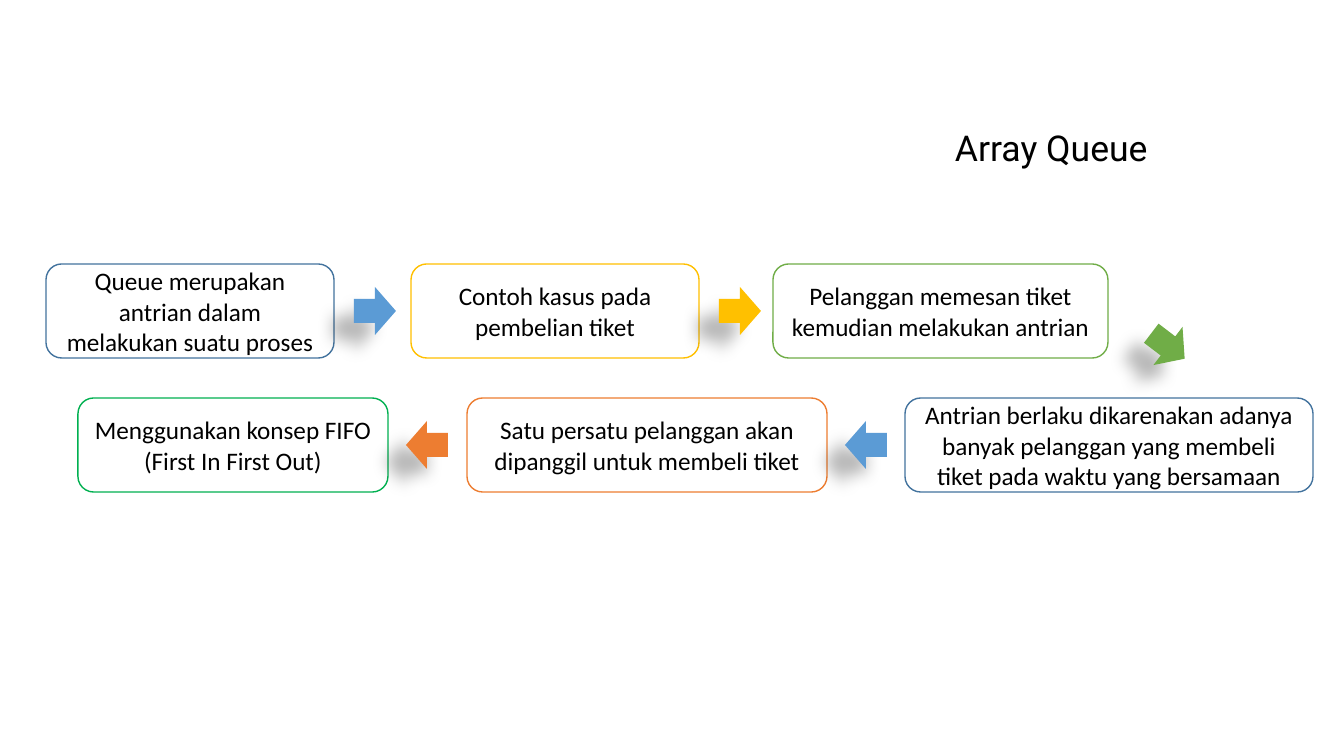
from lxml import etree
from pptx import Presentation
from pptx.dml.color import RGBColor
from pptx.enum.shapes import MSO_SHAPE as SHAPE
from pptx.enum.text import MSO_ANCHOR as ANCHOR, PP_ALIGN as ALIGN
from pptx.oxml.ns import qn
from pptx.util import Emu, Pt

PX = 914400 / 100.8
STEP_H = 94
ARROW_W, ARROW_H = 42, 48
BLUE, ORANGE, YELLOW, GREEN = "5B9BD5", "ED7D31", "FFC000", "70AD47"
NAVY, EMERALD = "43739E", "00B050"
TOP_ROW, BOTTOM_ROW = 264, 398

STEPS = [
    (46, TOP_ROW, 288, NAVY, "Queue merupakan antrian dalam melakukan suatu proses"),
    (411, TOP_ROW, 288, YELLOW, "Contoh kasus pada pembelian tiket"),
    (773, TOP_ROW, 335, GREEN, "Pelanggan memesan tiket kemudian melakukan antrian"),
    (905, BOTTOM_ROW, 408, NAVY,
     "Antrian berlaku dikarenakan adanya banyak pelanggan yang membeli tiket pada waktu yang bersamaan"),
    (467, BOTTOM_ROW, 360, ORANGE, "Satu persatu pelanggan akan dipanggil untuk membeli tiket"),
    (78, BOTTOM_ROW, 310, EMERALD, "Menggunakan konsep FIFO (First In First Out)"),
]
ARROWS = [
    (SHAPE.RIGHT_ARROW, 354, 287, BLUE, 0),
    (SHAPE.RIGHT_ARROW, 719, 287, YELLOW, 0),
    (SHAPE.RIGHT_ARROW, 1147, 322, GREEN, 37.3),
    (SHAPE.LEFT_ARROW, 845, 421, BLUE, 0),
    (SHAPE.LEFT_ARROW, 406, 421, ORANGE, 0),
]


def px(n):
    return Emu(round(n * PX))


def rgb(value):
    return RGBColor.from_string(value)


def add_text(p, text, font, size):
    r = p.add_run()
    r.text = text
    r.font.name = font
    r.font.size = Pt(size)
    r.font.color.rgb = rgb("000000")


def add_title(s, x, y, w, h, text):
    sp = s.shapes.add_textbox(px(x), px(y), px(w), px(h))
    tf = sp.text_frame
    tf.word_wrap = True
    add_text(tf.paragraphs[0], text, "Roboto", 25.4)


def add_step(s, x, y, w, color, text):
    sp = s.shapes.add_shape(SHAPE.ROUNDED_RECTANGLE, px(x), px(y), px(w), px(STEP_H))
    sp.shadow.inherit = False
    sp.fill.solid()
    sp.fill.fore_color.rgb = rgb("FFFFFF")
    sp.line.color.rgb = rgb(color)
    sp.line.width = Pt(1)
    tf = sp.text_frame
    tf.word_wrap = True
    tf.vertical_anchor = ANCHOR.MIDDLE
    p = tf.paragraphs[0]
    p.alignment = ALIGN.CENTER
    add_text(p, text, "Calibri", 18)


def add_shadow(sp):
    sp.shadow.inherit = False
    effects = sp._element.spPr.find(qn("a:effectLst"))
    shadow = etree.SubElement(
        effects, qn("a:outerShdw"), blurRad=str(Pt(11.8)), dist=str(Pt(19.7)),
        dir=str(141 * 60000), algn="ctr", rotWithShape="0")
    color = etree.SubElement(shadow, qn("a:srgbClr"), val="000000")
    etree.SubElement(color, qn("a:alpha"), val="28000")


def add_arrow(s, kind, x, y, color, angle):
    sp = s.shapes.add_shape(kind, px(x), px(y), px(ARROW_W), px(ARROW_H))
    sp.rotation = angle
    sp.fill.solid()
    sp.fill.fore_color.rgb = rgb(color)
    sp.line.fill.background()
    add_shadow(sp)


def main():
    prs = Presentation()
    prs.slide_width, prs.slide_height = px(1344), px(756)
    s = prs.slides.add_slide(prs.slide_layouts[6])
    add_title(s, 945, 121, 260, 52, "Array Queue")
    for step in STEPS:
        add_step(s, *step)
    for arrow in ARROWS:
        add_arrow(s, *arrow)
    prs.save("out.pptx")


if __name__ == "__main__":
    main()
